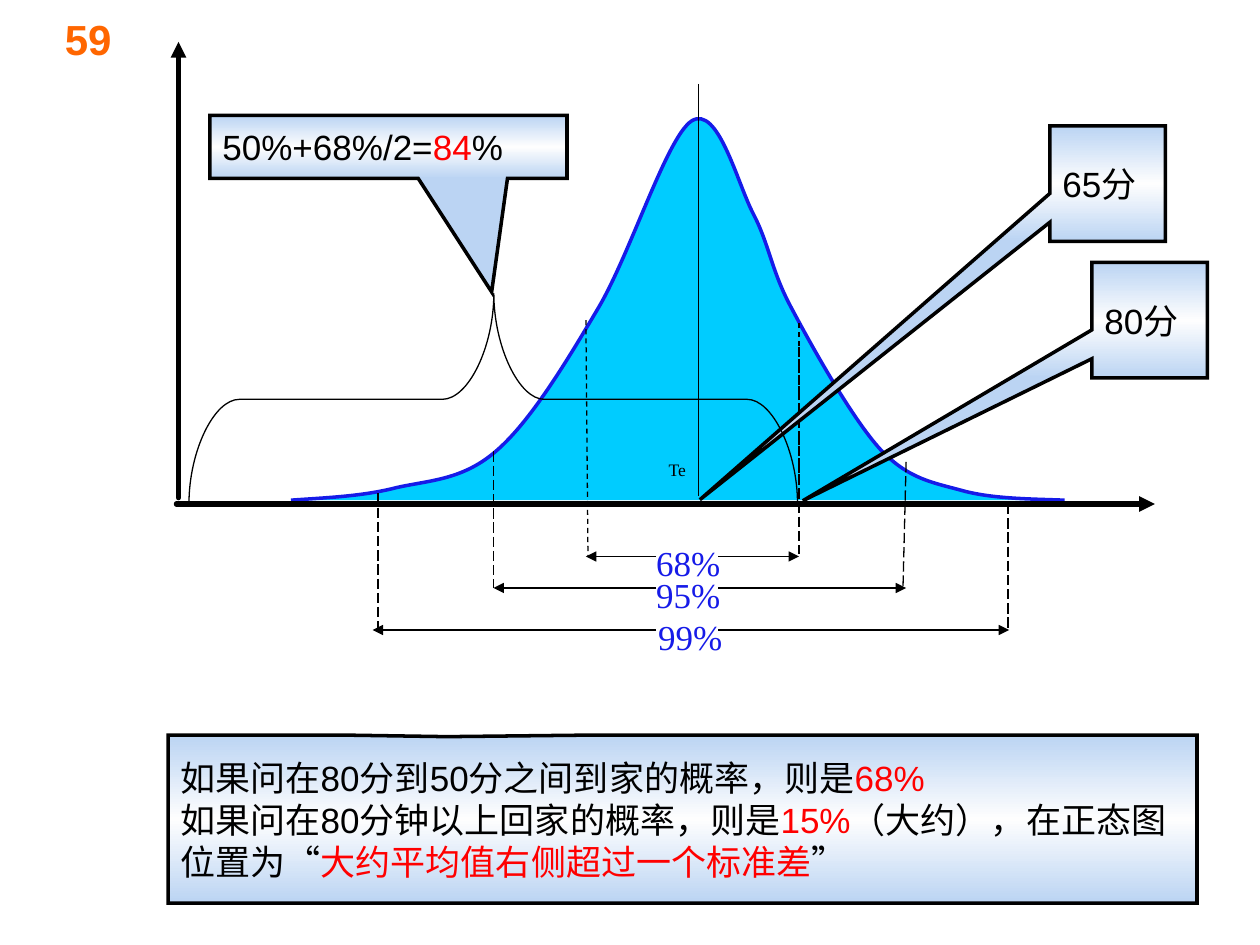
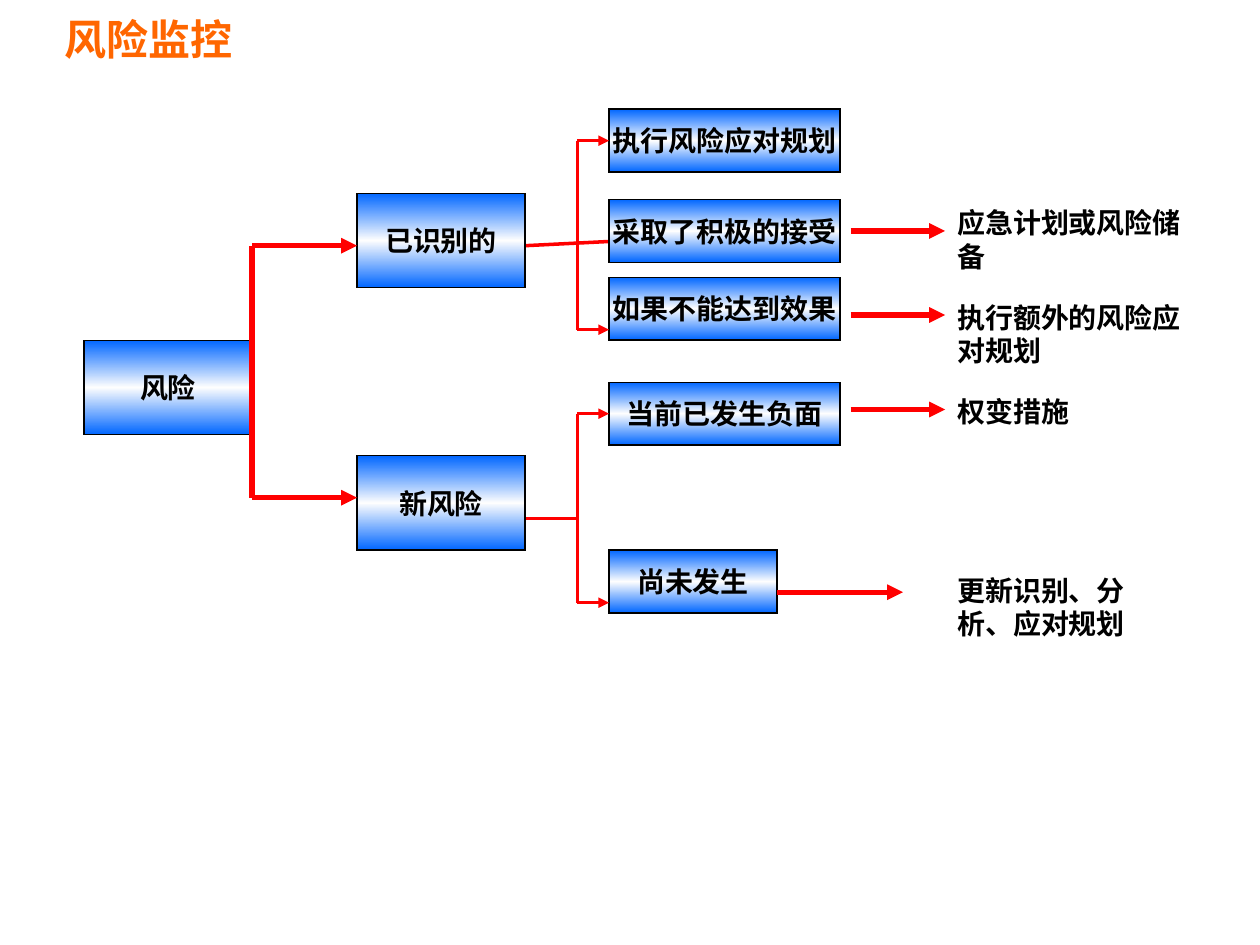
from copy import deepcopy
from typing import NamedTuple

from lxml.etree import SubElement
from pptx import Presentation
from pptx.dml.color import RGBColor
from pptx.enum.dml import MSO_LINE as Dash
from pptx.enum.shapes import MSO_CONNECTOR as Link, MSO_SHAPE as Kind
from pptx.enum.text import MSO_ANCHOR as Anchor, MSO_AUTO_SIZE as Fit, PP_ALIGN as Align
from pptx.oxml.ns import qn
from pptx.util import Inches, Pt

COLORS = {
    "title": "FF6600",
    "ink": "000000",
    "red": "FF0000",
    "curve": "161BE8",
    "bell": "00CCFF",
    "pale": "BBD4F3",
    "blue": "0066FF",
    "shine": "FEFEFE",
}
SANS, SERIF = "Arial", "Times New Roman"
GRID = 120  # grid steps to the inch


class Box(NamedTuple):
    left: float
    top: float
    width: float
    height: float


class Style(NamedTuple):
    size: float
    font: str = SANS
    color: str = "ink"
    bold: bool = False
    align: Align = Align.LEFT


class Rule(NamedTuple):
    x1: float
    y1: float
    x2: float
    y2: float
    width: float = 0.75
    color: str = "ink"
    dash: Dash | None = None
    arrow: bool = False
    cap: str = "flat"


class Bubble(NamedTuple):
    box: Box
    tip: tuple[float, float]
    paras: list


class Span(NamedTuple):
    """A share of the area under the bell, with arrows to both ends."""
    text: str
    left: float
    right: float
    y: float
    box: Box


class Node(NamedTuple):
    text: str
    box: Box


class Fork(NamedTuple):
    x: float
    tip: float
    top: float
    bottom: float
    width: float


HEAD = Style(24, color="title", bold=True)
CALL = Style(20)
SHARE = Style(20, SERIF, "curve", align=Align.CENTER)
TICK = Style(10, SERIF, align=Align.JUSTIFY)
NODE = Style(16, bold=True, align=Align.CENTER)
NOTE = Style(16, bold=True)


def rgb(name: str) -> RGBColor:
    return RGBColor.from_string(COLORS[name])


def snap(lengths: tuple) -> list:
    """Lengths moved to the nearest grid step."""
    return [Inches(round(v * GRID) / GRID) for v in lengths]


def write(frame, paras: list, style: Style) -> None:
    """Each paragraph is a string or a list of (text, colour) runs."""
    for i, para in enumerate(paras):
        p = frame.paragraphs[0] if i == 0 else frame.add_paragraph()
        p.alignment = style.align
        for text, color in [(para, style.color)] if isinstance(para, str) else para:
            run = p.add_run()
            run.text = text
            run.font.size, run.font.name = Pt(style.size), style.font
            run.font.bold = style.bold
            run.font.color.rgb = rgb(color)


def label(slide, text: str, box: Box, style: Style, anchor=Anchor.TOP, fit=Fit.NONE) -> None:
    frame = slide.shapes.add_textbox(*snap(box)).text_frame
    frame.word_wrap = True
    frame.auto_size = fit
    frame.vertical_anchor = anchor
    write(frame, [text], style)


def rule(slide, r: Rule) -> None:
    link = slide.shapes.add_connector(Link.STRAIGHT, *snap(r[:4]))
    link.line.width = Pt(r.width)
    link.line.color.rgb = rgb(r.color)
    if r.dash:
        link.line.dash_style = r.dash
    props = link._element.spPr
    stroke = props.find(qn("a:ln"))
    stroke.set("cap", r.cap)
    if r.arrow:
        SubElement(stroke, qn("a:tailEnd"), type="triangle")
    SubElement(props, qn("a:effectLst"))


def panel(slide, kind: Kind, box: Box, edge: str, width: float):
    """Shape with a vertical gradient that is light in the middle."""
    shape = slide.shapes.add_shape(kind, *snap(box))
    shape.shadow.inherit = False
    shape.fill.gradient()
    shape.fill.gradient_angle = 270
    stops = shape._element.spPr.find(qn("a:gradFill")).find(qn("a:gsLst"))
    stops.insert(1, deepcopy(stops[0]))
    for stop, color, pos in zip(shape.fill.gradient_stops, (edge, "shine", edge), (0, 0.5, 1)):
        stop.color.rgb = rgb(color)
        stop.position = pos
    shape.line.width = Pt(width)
    shape.line.color.rgb = rgb("ink")
    SubElement(shape._element.spPr.find(qn("a:ln")), qn("a:miter"), lim="800000")
    shape.text_frame.vertical_anchor = Anchor.MIDDLE
    return shape


def bubble(slide, b: Bubble) -> None:
    shape = panel(slide, Kind.RECTANGULAR_CALLOUT, b.box, "pale", 2)
    shape.adjustments[0], shape.adjustments[1] = b.tip
    shape.text_frame.word_wrap = True
    write(shape.text_frame, b.paras, CALL)


def outline(slide, first: tuple, parts: list, color: str, width: float, fill: str | None = None) -> None:
    """Open outline of lines (one point each) and cubic curves (three)."""
    pen = slide.shapes.build_freeform(*map(Inches, first))
    pen.add_line_segments([(Inches(x), Inches(y)) for part in parts for x, y in part], close=False)
    shape = pen.convert_to_shape()
    lines = list(shape._element.iter(qn("a:lnTo")))
    for part in parts:
        group, lines = lines[:len(part)], lines[len(part):]
        if len(part) == 3:
            curve = SubElement(group[0].getparent(), qn("a:cubicBezTo"))
            group[0].addprevious(curve)
            for line in group:
                curve.append(line[0])
                line.getparent().remove(line)
    shape.shadow.inherit = False
    if fill:
        shape.fill.solid()
        shape.fill.fore_color.rgb = rgb(fill)
    else:
        shape.fill.background()
    shape.line.width = Pt(width)
    shape.line.color.rgb = rgb(color)


def start(deck, title: str):
    slide = deck.slides.add_slide(deck.slide_layouts[6])
    label(slide, title, Box(0.42, 0, 4.58, 0.62), HEAD, Anchor.MIDDLE)
    return slide


BELL = [
    [(2.59, 3.95), (2.88, 3.94), (3.15, 3.87)],
    [(3.42, 3.81), (3.68, 3.81), (3.95, 3.57)],
    [(4.21, 3.34), (4.48, 2.9), (4.74, 2.46)],
    [(5, 2.03), (5.29, 1.09), (5.49, 0.96)],
    [(5.7, 0.83), (5.85, 1.45), (5.98, 1.7)],
    [(6.11, 1.95), (6.12, 2.15), (6.29, 2.46)],
    [(6.46, 2.78), (6.77, 3.33), (6.99, 3.57)],
    [(7.22, 3.81), (7.41, 3.83), (7.66, 3.9)],
    [(7.9, 3.96), (8.18, 3.96), (8.45, 3.97)],
]
BRACE = [
    [(1.5, 3.58), (1.7, 3.17), (1.9, 3.17)],
    [(3.51, 3.17)],
    [(3.72, 3.17), (3.92, 2.75), (3.92, 2.33)],
    [(3.92, 2.75), (4.12, 3.17), (4.32, 3.17)],
    [(5.93, 3.17)],
    [(6.13, 3.17), (6.33, 3.58), (6.33, 4)],
]
AXES = [
    Rule(1.4, 4, 9.17, 4, 3, arrow=True, cap="rnd"),
    Rule(1.42, 3.95, 1.42, 0.33, 3, arrow=True, cap="rnd"),
    Rule(5.54, 0.67, 5.54, 3.93),
]
LIMITS = [
    Rule(6.34, 3.75, 6.34, 2.54, dash=Dash.DASH),
    Rule(4.65, 2.54, 4.67, 4.42, dash=Dash.DASH),
] + [Rule(*ends, dash=Dash.LONG_DASH) for ends in (
    (6.34, 2.75, 6.34, 4.4),
    (3.92, 3.58, 3.92, 4.67),
    (7.19, 3.67, 7.17, 4.67),
    (8, 4, 8, 5),
    (3, 3.92, 3, 5),
)]
SPANS = [
    Span("68%", 4.65, 6.34, 4.42, Box(5.03, 4.25, 0.86, 0.54)),
    Span("95%", 3.92, 7.19, 4.67, Box(5.03, 4.5, 0.86, 0.42)),
    Span("99%", 2.96, 8.01, 5, Box(5.05, 4.83, 0.86, 0.56)),
]
ANSWER = Bubble(Box(1.33, 5.83, 8.17, 1.33), (-0.229, -0.49), [
    [("如果问在80分到50分之间到家的概率，则是", "ink"), ("68%", "red")],
    [("如果问在80分钟以上回家的概率，则是", "ink"), ("15%", "red"),
     ("（大约），在正态图位置为“", "ink"), ("大约平均值右侧超过一个标准差", "red"), ("”", "ink")],
])
MEAN = Bubble(Box(8.33, 1, 0.92, 0.92), (-3.532, 2.737), ["65分"])
SIGMA = Bubble(Box(8.67, 2.08, 0.92, 0.92), (-3.004, 1.564), ["80分"])
TOTAL = Bubble(Box(1.67, 0.92, 2.83, 0.5), (0.289, 2.302),
               [[("50%+68%/2=", "ink"), ("84", "red"), ("%", "ink")]])

NODES = [
    Node("风险", Box(0.67, 2.7, 1.33, 0.75)),
    Node("已识别的", Box(2.83, 1.53, 1.33, 0.75)),
    Node("新风险", Box(2.83, 3.62, 1.33, 0.75)),
    Node("执行风险应对规划", Box(4.83, 0.87, 1.83, 0.5)),
    Node("采取了积极的接受", Box(4.83, 1.58, 1.83, 0.5)),
    Node("如果不能达到效果", Box(4.83, 2.2, 1.83, 0.5)),
    Node("当前已发生负面", Box(4.83, 3.03, 1.83, 0.5)),
    Node("尚未发生", Box(4.83, 4.37, 1.33, 0.5)),
]
FORKS = [
    Fork(2, 2.83, 1.95, 3.95, 3),
    Fork(4.58, 4.83, 1.12, 2.62, 2),
    Fork(4.58, 4.83, 3.28, 4.78, 2),
]
STEMS = [
    Rule(1.08, 3.03, 1.5, 3.03, 3, "red"),
    Rule(4.17, 1.95, 4.83, 1.92, 2, "red"),
    Rule(4.17, 4.12, 4.58, 4.12, 2, "red"),
]
ARROWS = [(6.75, 7.5, 1.83), (6.75, 7.5, 2.5), (6.75, 7.5, 3.25), (6.17, 7.17, 4.7)]
NOTES = [
    Node("应急计划或风险储备", Box(7.5, 1.58, 2.08, 0.64)),
    Node("执行额外的风险应对规划", Box(7.5, 2.33, 2.08, 0.64)),
    Node("权变措施", Box(7.5, 3.08, 1.42, 0.37)),
    Node("更新识别、分析、应对规划", Box(7.5, 4.5, 1.58, 0.64)),
]


def draw_curve(deck) -> None:
    slide = start(deck, "59")
    outline(slide, (2.31, 3.97), BELL, "curve", 2, "bell")
    for r in AXES + LIMITS:
        rule(slide, r)
    label(slide, "Te", Box(5.21, 3.59, 1, 0.44), TICK)
    for span in SPANS:
        label(slide, span.text, span.box, SHARE)
        for x, end in ((5.21, span.left), (5.7, span.right)):
            rule(slide, Rule(x, span.y, end, span.y, arrow=True))
    for b in (ANSWER, MEAN, SIGMA):
        bubble(slide, b)
    outline(slide, (1.5, 4), BRACE, "ink", 0.75)
    bubble(slide, TOTAL)


def draw_tree(deck) -> None:
    slide = start(deck, "风险监控")
    for r in STEMS:
        rule(slide, r)
    for node in NODES:
        frame = panel(slide, Kind.RECTANGLE, node.box, "blue", 0.75).text_frame
        frame.word_wrap = False
        write(frame, [node.text], NODE)
    for f in FORKS:
        rule(slide, Rule(f.x, f.top, f.x, f.bottom, f.width, "red"))
        for y in (f.top, f.bottom):
            rule(slide, Rule(f.x, y, f.tip, y, f.width, "red", arrow=True))
    for x1, x2, y in ARROWS:
        rule(slide, Rule(x1, y, x2, y, 3, "red", arrow=True))
    for note in NOTES:
        label(slide, note.text, note.box, NOTE, fit=Fit.SHAPE_TO_FIT_TEXT)


def main() -> None:
    deck = Presentation()
    deck.slide_width, deck.slide_height = Inches(10), Inches(7.5)
    draw_curve(deck)
    draw_tree(deck)
    deck.save("out.pptx")


if __name__ == "__main__":
    main()
